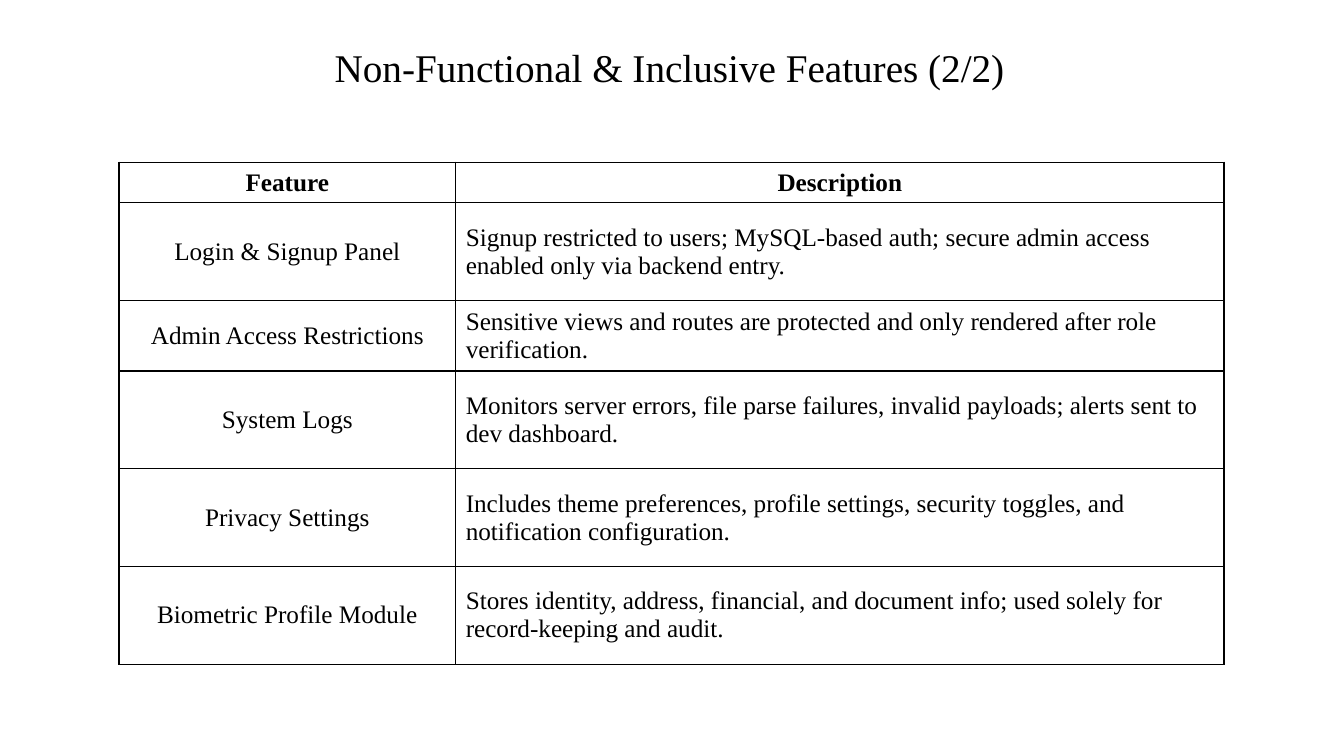
from dataclasses import dataclass

from lxml import etree
from pptx import Presentation
from pptx.dml.color import RGBColor
from pptx.enum.text import MSO_ANCHOR, PP_ALIGN
from pptx.oxml.ns import qn
from pptx.util import Inches, Pt

LEFT, CENTER = PP_ALIGN.LEFT, PP_ALIGN.CENTER
MIDDLE = MSO_ANCHOR.MIDDLE
COLORS = {"ink": "000000", "paper": "FFFFFF"}
FACE = "Times New Roman"
TITLE = {"name": FACE, "size": Pt(28), "bold": False}
HEAD = {"name": FACE, "size": Pt(18), "bold": True}
BODY = {"name": FACE, "size": Pt(18), "bold": False}
SIDES = ("a:lnL", "a:lnR", "a:lnT", "a:lnB")
WIDTHS = (3.34, 7.62)


@dataclass
class Row:
    label: str
    text: str
    height: float = 0.97
    style: str = "body"


ROWS = [
    Row("Feature", "Description", 0.39, "head"),
    Row("Login & Signup Panel",
        "Signup restricted to users; MySQL-based auth; secure admin access "
        "enabled only via backend entry."),
    Row("Admin Access Restrictions",
        "Sensitive views and routes are protected and only rendered after role "
        "verification.", 0.69),
    Row("System Logs",
        "Monitors server errors, file parse failures, invalid payloads; alerts "
        "sent to dev dashboard."),
    Row("Privacy Settings",
        "Includes theme preferences, profile settings, security toggles, and "
        "notification configuration."),
    Row("Biometric Profile Module",
        "Stores identity, address, financial, and document info; used solely "
        "for record-keeping and audit."),
]


def write(frame, text: str, style: dict, align) -> None:
    para = frame.paragraphs[0]
    para.alignment = align
    run = para.add_run()
    run.text = text
    for key, value in style.items():
        setattr(run.font, key, value)
    run.font.color.rgb = RGBColor.from_string(COLORS["ink"])


def border(cell) -> None:
    props = cell._tc.get_or_add_tcPr()
    for index, side in enumerate(SIDES):
        line = etree.Element(qn(side), w=str(Pt(1)))
        fill = etree.SubElement(line, qn("a:solidFill"))
        etree.SubElement(fill, qn("a:srgbClr"), val=COLORS["ink"])
        props.insert(index, line)


def fill_cell(cell, text: str, style: dict, align) -> None:
    cell.vertical_anchor = MIDDLE
    cell.fill.solid()
    cell.fill.fore_color.rgb = RGBColor.from_string(COLORS["paper"])
    border(cell)
    write(cell.text_frame, text, style, align)


def add_title(slide) -> None:
    box = slide.shapes.add_textbox(Inches(3.22), Inches(0.38), Inches(6.89), Inches(0.57))
    box.text_frame.word_wrap = True
    write(box.text_frame, "Non-Functional & Inclusive Features (2/2)", TITLE, LEFT)


def add_grid(slide) -> None:
    tall = sum(row.height for row in ROWS)
    grid = slide.shapes.add_table(
        len(ROWS), len(WIDTHS), Inches(1.18), Inches(1.61),
        Inches(sum(WIDTHS)), Inches(tall)).table
    grid.first_row = False
    grid.horz_banding = False
    for column, width in zip(grid.columns, WIDTHS):
        column.width = Inches(width)
    for index, row in enumerate(ROWS):
        grid.rows[index].height = Inches(row.height)
        head = row.style == "head"
        style = HEAD if head else BODY
        fill_cell(grid.cell(index, 0), row.label, style, CENTER)
        fill_cell(grid.cell(index, 1), row.text, style, CENTER if head else LEFT)


def main() -> None:
    deck = Presentation()
    deck.slide_width = Inches(13.33)
    deck.slide_height = Inches(7.5)
    slide = deck.slides.add_slide(deck.slide_layouts[6])
    add_title(slide)
    add_grid(slide)
    deck.save("out.pptx")


if __name__ == "__main__":
    main()
